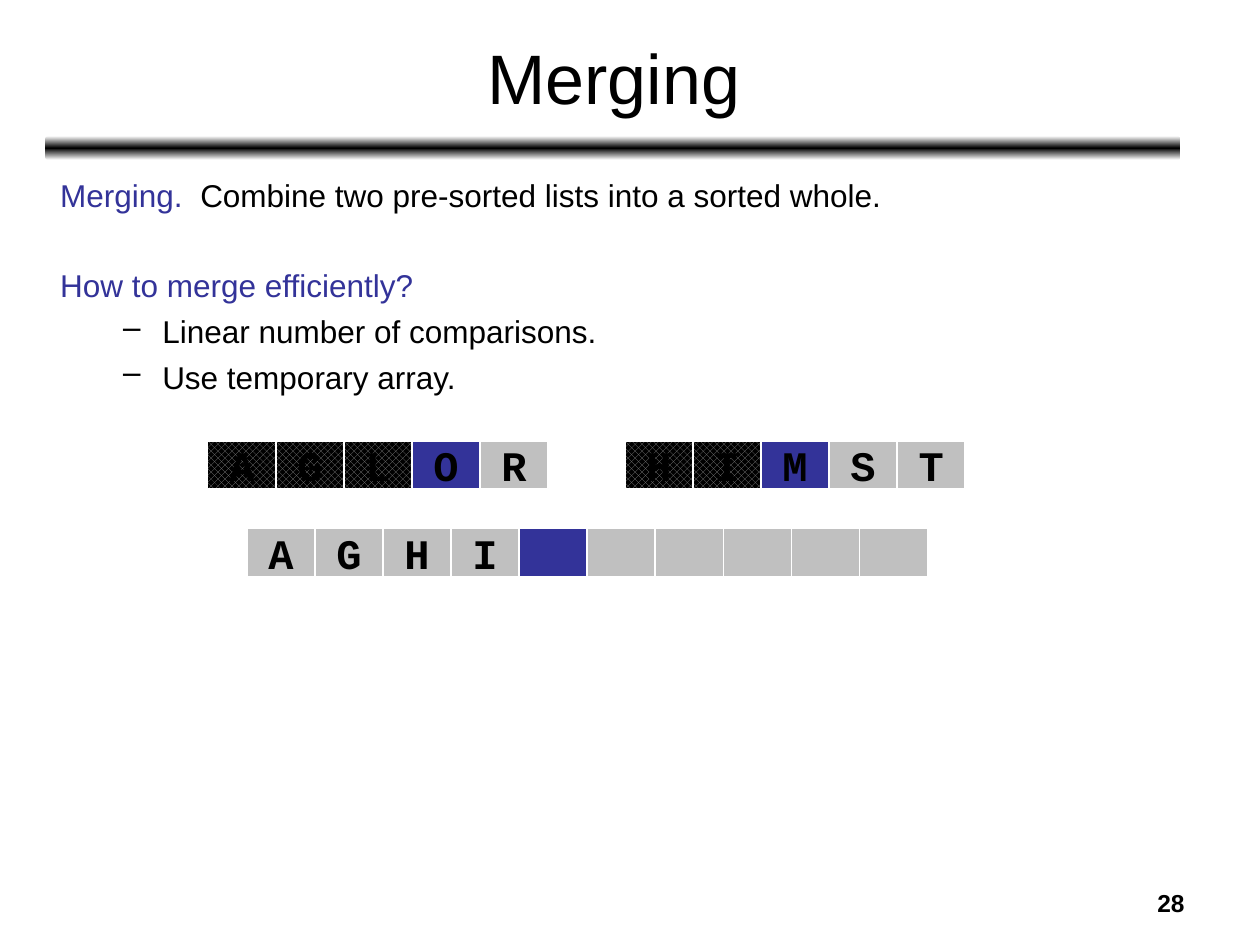
from copy import deepcopy
from dataclasses import dataclass

from lxml.etree import SubElement
from pptx import Presentation
from pptx.dml.color import RGBColor as Rgb
from pptx.enum.dml import MSO_PATTERN as Pat
from pptx.enum.shapes import MSO_SHAPE as Kind
from pptx.enum.text import MSO_ANCHOR as Anchor, PP_ALIGN as Align
from pptx.oxml.ns import qn
from pptx.util import Inches, Pt

# Content
TITLE = "Merging"
PAGE = "28"
# Each paragraph: runs of (text, colour), bullet, space before in points
BODY = [
    ([("Merging.  ", "blue"), ("Combine two pre-sorted lists into a sorted whole.", "black")], False, 0),
    ([("How to merge efficiently?", "blue")], False, 29.7),
    ([("Linear number of comparisons.", "black")], True, 4.5),
    ([("Use temporary array.", "black")], True, 4.5),
]
# Each array: letters, states (x used, o current, - other), left, top, height
ROWS = [
    ("AGLOR", "xxxo-", 1.65, 3.5, 0.38),
    ("HIMST", "xxo--", 4.96, 3.5, 0.38),
    ("AGHI      ", "----o-----", 1.96, 4.19, 0.39),
]
STEP = 0.54


@dataclass
class Theme:
    black: Rgb = Rgb(0, 0, 0)
    white: Rgb = Rgb(255, 255, 255)
    blue: Rgb = Rgb(0x33, 0x33, 0x99)
    gray: Rgb = Rgb(0xC0, 0xC0, 0xC0)
    dark: Rgb = Rgb(0x80, 0x80, 0x80)
    sans: str = "Arial"
    mono: str = "Courier New"
    head: int = 40
    main: int = 18
    cell: int = 24
    foot: int = 14


T = Theme()


def text(para, words, size=T.main, color=T.black, face=T.sans, bold=False, align=Align.LEFT):
    para.alignment = align
    run = para.add_run()
    run.text = words
    font = run.font
    font.size, font.name, font.bold = Pt(size), face, bold
    font.color.rgb = color


def frame(slide, *place, anchor=Anchor.TOP):
    box = slide.shapes.add_textbox(*map(Inches, place)).text_frame
    box.word_wrap = True
    box.vertical_anchor = anchor
    return box


def shape(slide, kind, *place):
    item = slide.shapes.add_shape(kind, *map(Inches, place))
    item.shadow.inherit = False
    return item


def dash(para):
    props = para._p.get_or_add_pPr()
    props.set("marL", str(Inches(0.81)))
    props.set("indent", str(Inches(-0.31)))
    SubElement(props, qn("a:buChar")).set("char", "–")


def rule(slide):
    bar = shape(slide, Kind.ROUNDED_RECTANGLE, 0.36, 1.08, 9.01, 0.19)
    bar.line.fill.background()
    bar.fill.gradient()
    bar.fill.gradient_angle = 90
    stops = bar.element.spPr.find(".//" + qn("a:gsLst"))
    stops.append(deepcopy(stops[0]))
    for stop, spot, color in zip(bar.fill.gradient_stops, (0, 0.5, 1), (T.white, T.black, T.white)):
        stop.position = spot
        stop.color.rgb = color


def cell(slide, mark, state, *place):
    box = shape(slide, Kind.RECTANGLE, *place)
    box.line.color.rgb = T.white
    box.line.width = Pt(0.75)
    fill = box.fill
    if state == "x":
        fill.patterned()
        fill.pattern = Pat.OUTLINED_DIAMOND
        fill.fore_color.rgb, fill.back_color.rgb = T.dark, T.black
    else:
        fill.solid()
        fill.fore_color.rgb = T.blue if state == "o" else T.gray
    if mark.strip():
        box.text_frame.word_wrap = False
        box.text_frame.vertical_anchor = Anchor.MIDDLE
        text(box.text_frame.paragraphs[0], mark, T.cell, face=T.mono, bold=True, align=Align.CENTER)


def main():
    deck = Presentation()
    deck.slide_width, deck.slide_height = Inches(10), Inches(7.5)
    slide = deck.slides.add_slide(deck.slide_layouts[6])

    # Title and rule
    rule(slide)
    head = frame(slide, 0.37, 0.11, 9, 0.99, anchor=Anchor.MIDDLE)
    text(head.paragraphs[0], TITLE, T.head, align=Align.CENTER)

    # Body
    body = frame(slide, 0.38, 1.33, 9, 5.55)
    body.margin_top = Inches(0.07)
    for i, (runs, bullet, gap) in enumerate(BODY):
        para = body.add_paragraph() if i else body.paragraphs[0]
        para.space_before = Pt(gap)
        for words, color in runs:
            text(para, words, color=getattr(T, color))
        if bullet:
            dash(para)

    # Page number
    foot = frame(slide, 7.17, 7, 2.33, 0.35)
    text(foot.paragraphs[0], PAGE, T.foot, bold=True, align=Align.RIGHT)

    # Arrays
    for marks, states, left, top, high in ROWS:
        for i, (mark, state) in enumerate(zip(marks, states)):
            cell(slide, mark, state, left + i * STEP, top, STEP, high)

    deck.save("out.pptx")


if __name__ == "__main__":
    main()
